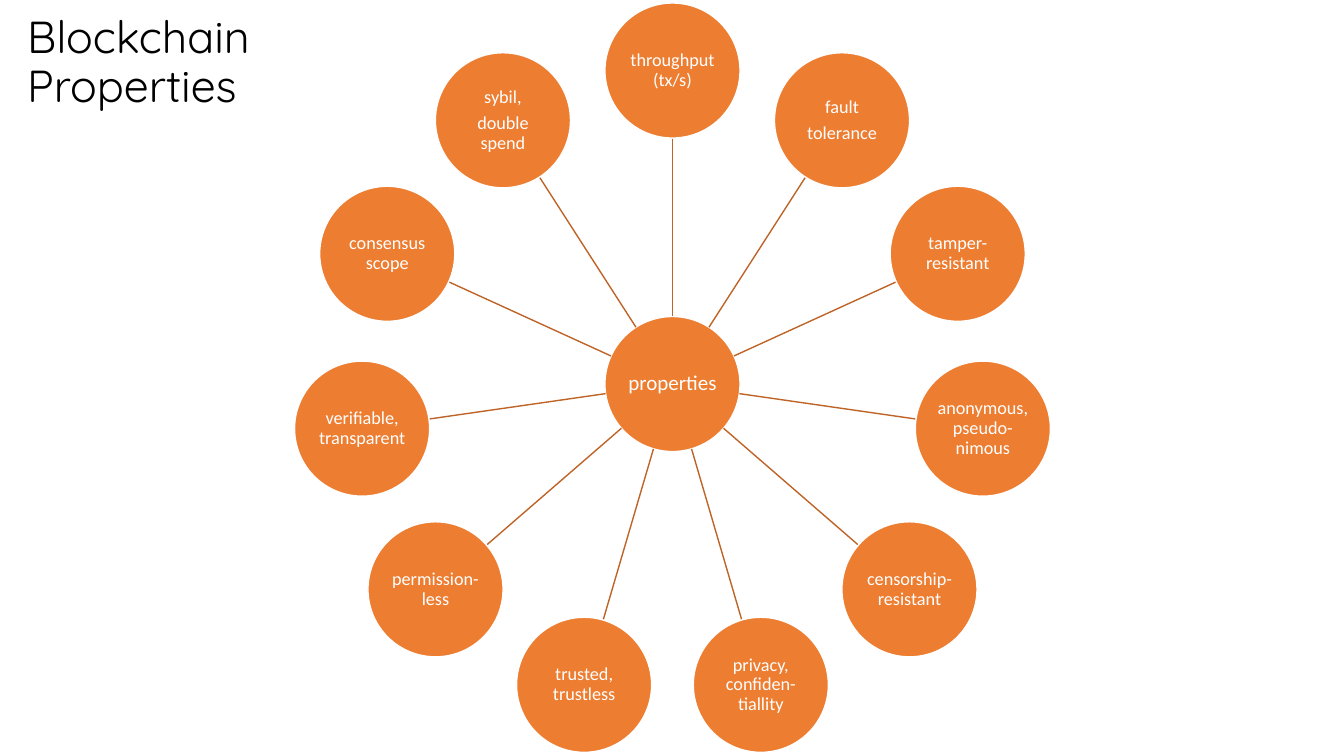
from math import cos, pi, sin

from lxml.etree import SubElement
from pptx import Presentation
from pptx.dml.color import RGBColor
from pptx.enum.shapes import MSO_CONNECTOR, MSO_SHAPE
from pptx.enum.text import MSO_ANCHOR, PP_ALIGN
from pptx.oxml.ns import qn
from pptx.util import Inches, Pt

ORANGE = RGBColor(0xED, 0x7D, 0x31)
RUST = RGBColor(0xBE, 0x64, 0x27)
WHITE = RGBColor(0xFF, 0xFF, 0xFF)
BLACK = RGBColor(0, 0, 0)

MID_X, MID_Y = 6.67, 3.81
RING = 3.11
SIZE = 1.34

# Clockwise from the top; each label is a list of paragraphs.
LABELS = [
    ["throughput (tx/s)"],
    ["fault", "tolerance"],
    ["tamper-resistant"],
    ["anonymous, pseudo-nimous"],
    ["censorship-resistant"],
    ["privacy, confiden-tiallity"],
    ["trusted, trustless"],
    ["permission-less"],
    ["verifiable, transparent"],
    ["consensus scope"],
    ["sybil,", "double spend"],
]


def polar(radius, angle):
    """Return the point at a clockwise angle from the top of the wheel."""
    return MID_X + radius * sin(angle), MID_Y - radius * cos(angle)


def style(font, name, size, color):
    font.name = name
    font.size = Pt(size)
    font.color.rgb = color


def add_title(slide):
    title = slide.shapes.title
    title.left, title.top = Inches(0.17), Inches(0.1)
    title.width, title.height = Inches(6.89), Inches(1.45)
    frame = title.text_frame
    frame.vertical_anchor = MSO_ANCHOR.TOP
    para = frame.paragraphs[0]
    para.add_run().text = "Blockchain"
    para.add_line_break()
    para.add_run().text = "Properties"
    para.alignment = PP_ALIGN.LEFT
    para.line_spacing = 0.9
    style(para.font, "Quicksand", 32, BLACK)


def add_circle(slide, center, lines, size):
    x, y = center
    circle = slide.shapes.add_shape(
        MSO_SHAPE.OVAL, Inches(x - SIZE / 2), Inches(y - SIZE / 2),
        Inches(SIZE), Inches(SIZE))
    circle.shadow.inherit = False
    circle.fill.solid()
    circle.fill.fore_color.rgb = ORANGE
    circle.line.color.rgb = WHITE
    circle.line.width = Pt(1)
    frame = circle.text_frame
    frame.word_wrap = True
    frame.vertical_anchor = MSO_ANCHOR.MIDDLE
    frame.margin_left = frame.margin_right = Inches(0.01)
    frame.margin_top = frame.margin_bottom = Inches(0.01)
    for i, line in enumerate(lines):
        para = frame.add_paragraph() if i else frame.paragraphs[0]
        para.text = line
        para.alignment = PP_ALIGN.CENTER
        para.line_spacing = 0.9
        para.space_before = Pt(4.5 if i else 0)
        style(para.font, "Calibri", size, WHITE)


def add_spoke(slide, angle):
    ends = polar(SIZE / 2, angle) + polar(RING - SIZE / 2, angle)
    spoke = slide.shapes.add_connector(
        MSO_CONNECTOR.STRAIGHT, *[Inches(end) for end in ends])
    spoke.line.color.rgb = RUST
    spoke.line.width = Pt(1)
    SubElement(spoke.element.spPr, qn("a:effectLst"))


def main():
    deck = Presentation()
    deck.slide_width, deck.slide_height = Inches(13.33), Inches(7.5)
    slide = deck.slides.add_slide(deck.slide_layouts[5])
    add_title(slide)
    add_circle(slide, (MID_X, MID_Y), ["properties"], 15)
    for i, lines in enumerate(LABELS):
        angle = 2 * pi * i / len(LABELS)
        add_spoke(slide, angle)
        add_circle(slide, polar(RING, angle), lines, 13)
    deck.save("out.pptx")


if __name__ == "__main__":
    main()
